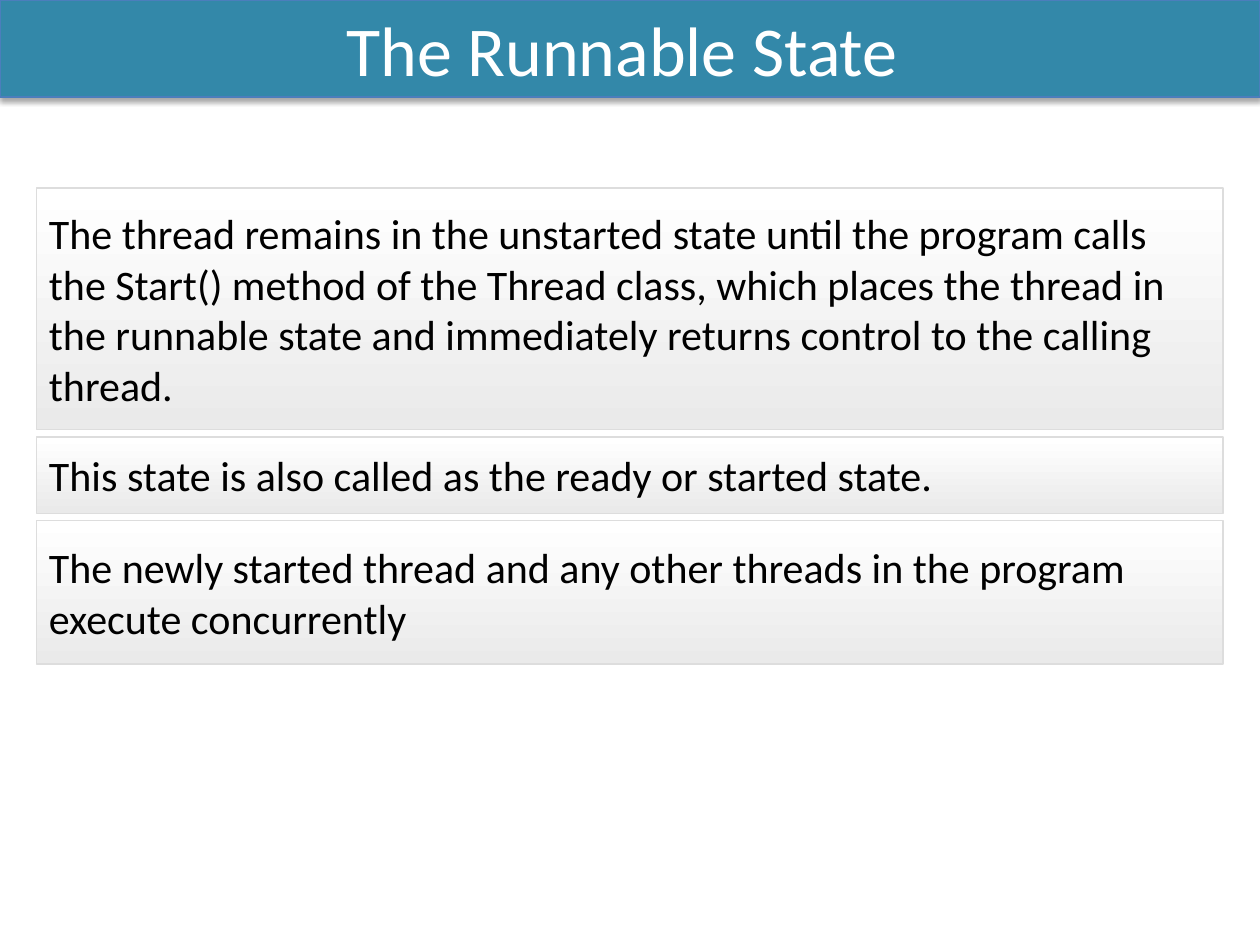
from dataclasses import dataclass

from lxml.etree import SubElement
from pptx import Presentation
from pptx.dml.color import RGBColor
from pptx.enum.shapes import MSO_SHAPE
from pptx.enum.text import MSO_ANCHOR, PP_ALIGN
from pptx.oxml.ns import qn
from pptx.util import Pt


@dataclass(frozen=True)
class Theme:
    """Colours and type sizes of the deck."""
    font: str = "Calibri"
    banner: str = "3388A9"
    banner_line: str = "4B7EBC"
    banner_text: str = "FFFFFF"
    panel_top: str = "FFFFFF"
    panel_bottom: str = "EAEAEA"
    panel_line: str = "DDDDDD"
    panel_text: str = "000000"
    shadow: str = "000000"
    title_size: float = 40
    body_size: float = 24


THEME = Theme()
TITLE = "The Runnable State "
PANEL_GAP = 4
PANELS = [
    (138.2, "The thread remains in the unstarted state until the program calls "
            "the Start() method of the Thread class, which places the thread in "
            "the runnable state and immediately returns control to the calling thread."),
    (43.9, "This state is also called as the ready or started state."),
    (82.1, "The newly started thread and any other threads in the program "
           "execute concurrently"),
]


def apply_format(target, values):
    """Set each named attribute of the target."""
    for name, value in values.items():
        setattr(target, name, value)


def add_text_box(page, box, text, align, size, color, line_color, line_width):
    """Add an outlined rectangle with middle-anchored text."""
    shape = page.shapes.add_shape(MSO_SHAPE.RECTANGLE, *map(Pt, box))
    shape.line.color.rgb = RGBColor.from_string(line_color)
    shape.line.width = Pt(line_width)
    shape.shadow.inherit = False
    apply_format(shape.text_frame, {"word_wrap": True, "vertical_anchor": MSO_ANCHOR.MIDDLE})
    para = shape.text_frame.paragraphs[0]
    para.alignment = align
    span = para.add_run()
    span.text = text
    apply_format(span.font, {"name": THEME.font, "size": Pt(size)})
    span.font.color.rgb = RGBColor.from_string(color)
    return shape


def add_drop_shadow(shape):
    """Give the shape a soft shadow straight below it."""
    effects = shape._element.spPr.find(qn("a:effectLst"))
    shadow = SubElement(effects, qn("a:outerShdw"), blurRad=str(Pt(3.1)), dist=str(Pt(1.8)),
                        dir="5400000", rotWithShape="0")
    color = SubElement(shadow, qn("a:srgbClr"), val=THEME.shadow)
    SubElement(color, qn("a:alpha"), val="35000")


def add_banner(page, box):
    """Draw the title banner in the box."""
    banner = add_text_box(page, box, TITLE, PP_ALIGN.CENTER, THEME.title_size,
                          THEME.banner_text, THEME.banner_line, 0.75)
    banner.fill.solid()
    banner.fill.fore_color.rgb = RGBColor.from_string(THEME.banner)
    add_drop_shadow(banner)


def add_panels(page, box):
    """Stack the shaded text panels downwards from the top of the box."""
    left, top, width = box
    for height, text in PANELS:
        panel = add_text_box(page, (left, top, width, height), text, PP_ALIGN.LEFT,
                             THEME.body_size, THEME.panel_text, THEME.panel_line, 1)
        panel.fill.gradient()
        panel.fill.gradient_angle = 270
        for stop, color in zip(panel.fill.gradient_stops, (THEME.panel_top, THEME.panel_bottom)):
            stop.color.rgb = RGBColor.from_string(color)
        top += height + PANEL_GAP


def main():
    """Build the deck and save it."""
    deck = Presentation()
    apply_format(deck, {"slide_width": Pt(720), "slide_height": Pt(540)})
    page = deck.slides.add_slide(deck.slide_layouts[6])
    add_banner(page, (0, 0, 720, 55.5))
    add_panels(page, (20.9, 107.3, 678.2))
    deck.save("out.pptx")


if __name__ == "__main__":
    main()
